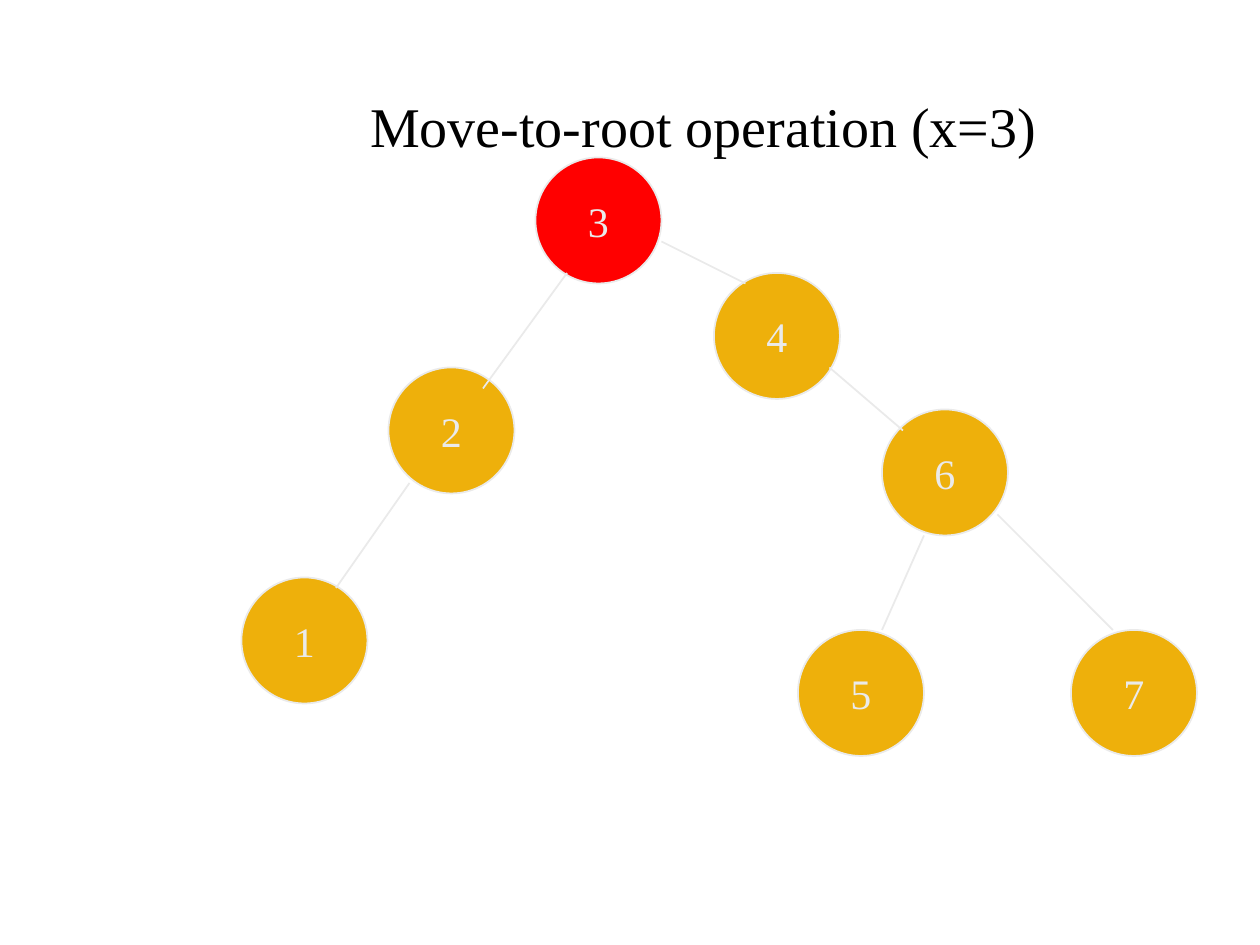
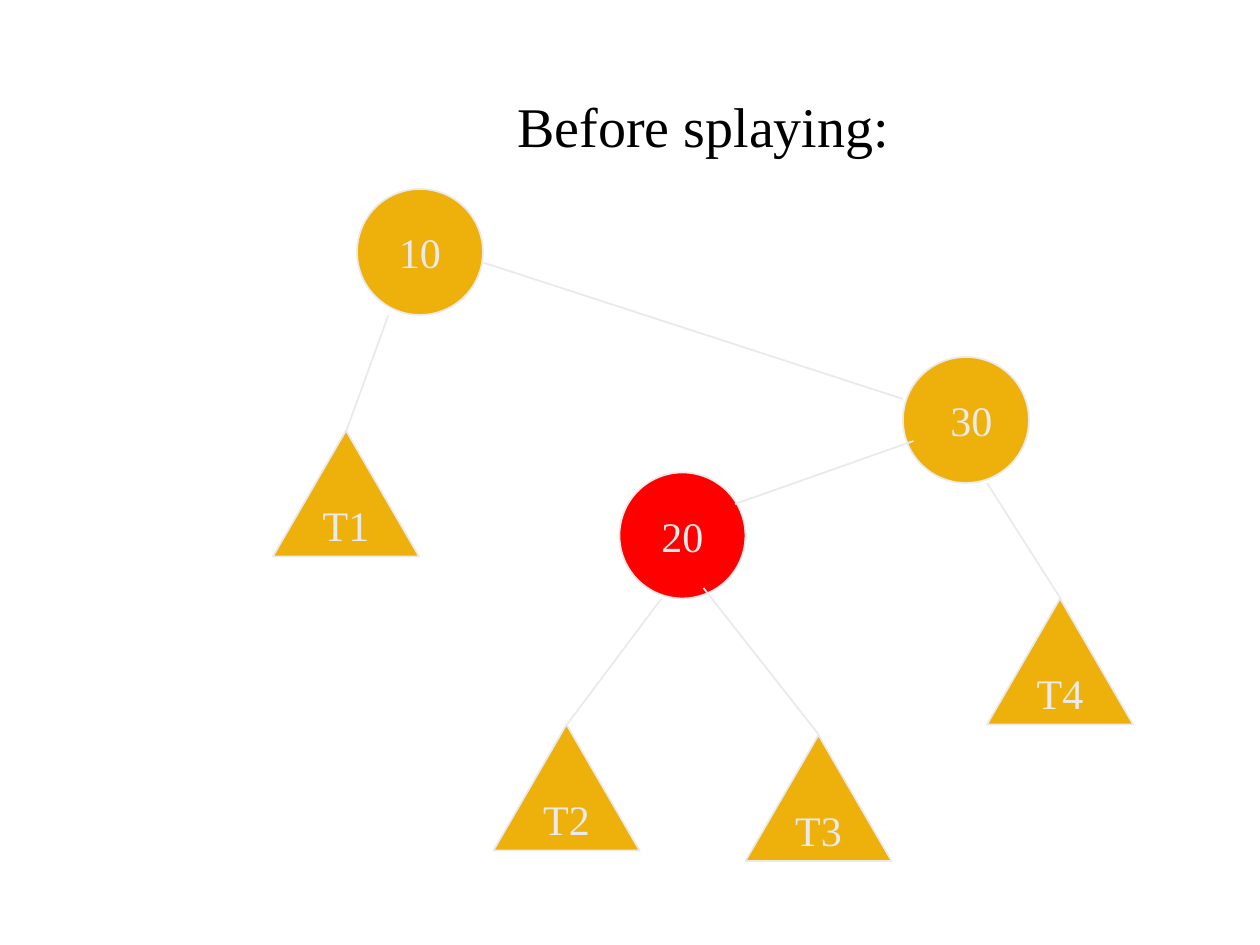
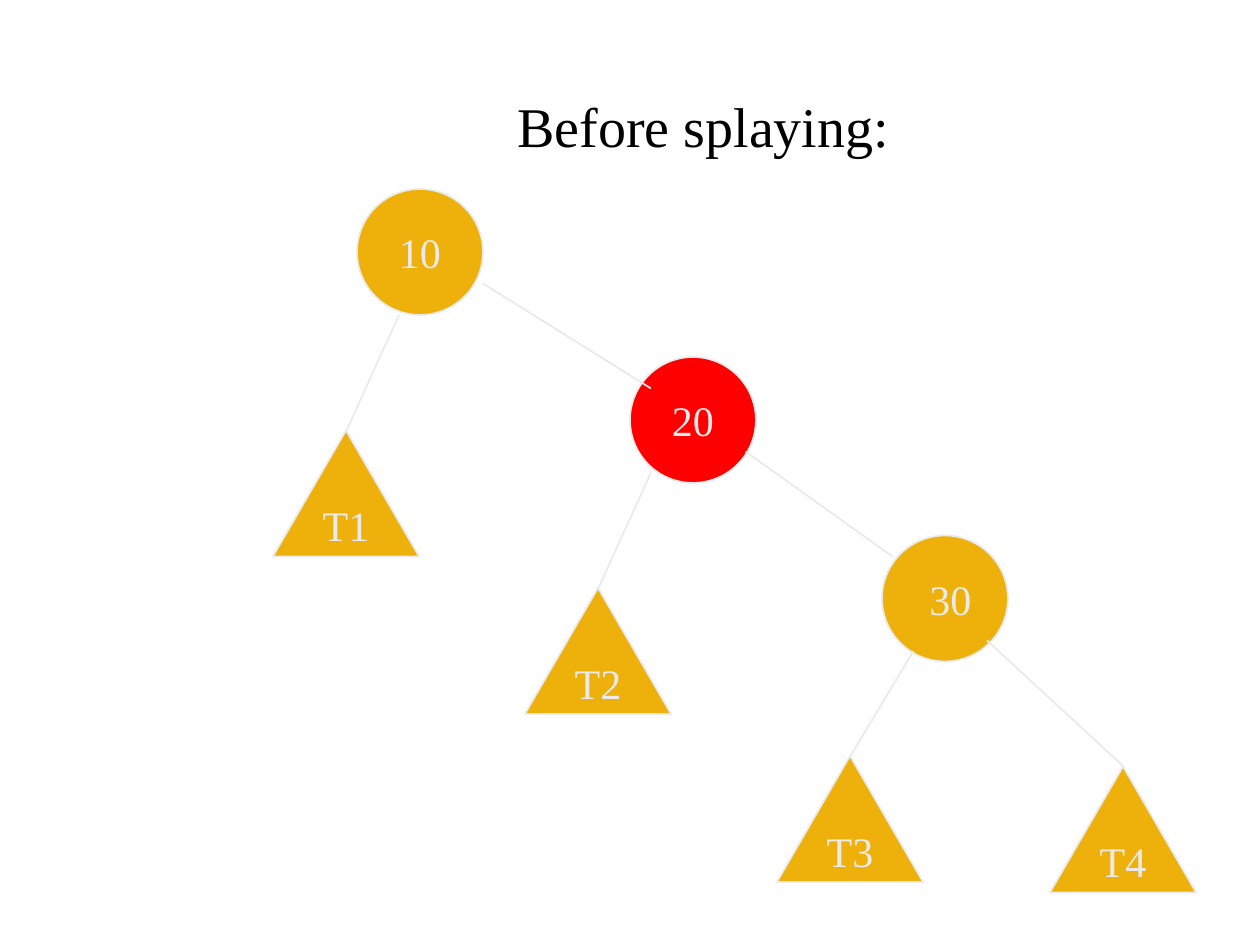
import pptx
import pptx.dml.color
import pptx.enum.shapes
import pptx.enum.text
import pptx.oxml.xmlchemy
import pptx.util
from dataclasses import dataclass
from lxml import etree

Pt = pptx.util.Pt
RGBColor = pptx.dml.color.RGBColor
AutoShape = pptx.enum.shapes.MSO_SHAPE


@dataclass(frozen=True)
class Theme:
    font: str = "Times New Roman"
    title_size: int = 32
    label_size: int = 24
    line_width: int = 1
    title: RGBColor = RGBColor(0x00, 0x00, 0x00)
    node: RGBColor = RGBColor(0xEE, 0xB0, 0x0B)
    accessed: RGBColor = RGBColor(0xFF, 0x00, 0x00)
    line: RGBColor = RGBColor(0xEA, 0xEA, 0xEA)


THEME = Theme()

# Shared geometry, in points
TITLE_BOX = (96, 24, 612, 95)
NODE_SIZE = 72
SUBTREE_WIDTH = 83.5
APEX = (42, 0)
LABEL_INSET = 7.2
LABEL_SHIFT = {"30": 6}

# Content: places are left and top; each edge names its parent and child,
# with both ends measured from the left and top of those shapes
TREES = [
    {
        "title": "Move-to-root operation (x=3)",
        "accessed": "3",
        "nodes": {
            "2": (222, 210), "4": (408, 156), "6": (504, 234), "1": (138, 330),
            "3": (306, 90), "5": (456, 360), "7": (612, 360),
        },
        "subtrees": {},
        "edges": [
            ("4", (66, 54), "6", (12, 12)),
            ("2", (12, 66), "1", (54, 6)),
            ("6", (24, 72), "5", (48, 0)),
            ("6", (66, 60), "7", (24, 0)),
            ("3", (18, 66), "2", (54, 12)),
            ("3", (72, 48), "4", (18, 6)),
        ],
    },
    {
        "title": "Before splaying:",
        "accessed": "20",
        "nodes": {"10": (204, 108), "20": (354, 270), "30": (516, 204)},
        "subtrees": {
            "T1": (156, 246), "T3": (426, 420), "T2": (282, 414), "T4": (564, 342),
        },
        "edges": [
            ("10", (72, 42), "30", (0, 24)),
            ("30", (48, 72), "T4", APEX),
            ("10", (18, 72), "T1", APEX),
            ("20", (24, 72), "T2", APEX),
            ("20", (48, 66), "T3", APEX),
            ("30", (6, 48), "20", (66, 18)),
        ],
    },
    {
        "title": "Before splaying:",
        "accessed": "20",
        "nodes": {"10": (204, 108), "20": (360, 204), "30": (504, 306)},
        "subtrees": {
            "T1": (156, 246), "T3": (444, 432), "T2": (300, 336), "T4": (600, 438),
        },
        "edges": [
            ("10", (24, 72), "T1", APEX),
            ("20", (12, 66), "T2", APEX),
            ("30", (18, 66), "T3", APEX),
            ("30", (60, 60), "T4", APEX),
            ("10", (72, 54), "20", (12, 18)),
            ("20", (66, 54), "30", (6, 12)),
        ],
    },
]


def write_centred(text_frame, text, size, color):
    text_frame.text = text
    text_frame.vertical_anchor = pptx.enum.text.MSO_ANCHOR.MIDDLE
    paragraph = text_frame.paragraphs[0]
    paragraph.alignment = pptx.enum.text.PP_ALIGN.CENTER
    font = paragraph.runs[0].font
    font.name, font.size, font.color.rgb = THEME.font, Pt(size), color


def set_line(line):
    line.color.rgb = THEME.line
    line.width = Pt(THEME.line_width)


def add_title(slide, text):
    title = slide.shapes.title
    title.left, title.top, title.width, title.height = map(Pt, TITLE_BOX)
    write_centred(title.text_frame, text, THEME.title_size, THEME.title)


def add_vertex(slide, kind, label, place, width, fill):
    left, top = place
    shape = slide.shapes.add_shape(kind, Pt(left), Pt(top), Pt(width), Pt(NODE_SIZE))
    shape.shadow.inherit = False
    shape.fill.solid()
    shape.fill.fore_color.rgb = fill
    set_line(shape.line)
    write_centred(shape.text_frame, label, THEME.label_size, THEME.line)
    shape.text_frame.word_wrap = False
    shape.text_frame.margin_left = Pt(LABEL_INSET + LABEL_SHIFT.get(label, 0))


def add_edge(slide, start, end):
    connector = slide.shapes.add_connector(
        pptx.enum.shapes.MSO_CONNECTOR.STRAIGHT, *map(Pt, start + end))
    set_line(connector.line)
    etree.SubElement(connector._element.spPr, pptx.oxml.ns.qn("a:effectLst"))


def add_tree(slide, tree):
    for label, place in tree["nodes"].items():
        fill = THEME.accessed if label == tree["accessed"] else THEME.node
        add_vertex(slide, AutoShape.OVAL, label, place, NODE_SIZE, fill)
    for label, place in tree["subtrees"].items():
        add_vertex(slide, AutoShape.ISOSCELES_TRIANGLE, label, place,
                   SUBTREE_WIDTH, THEME.node)

    # Edges lie above the vertices
    places = tree["nodes"] | tree["subtrees"]
    for parent, parent_offset, child, child_offset in tree["edges"]:
        start, end = (
            tuple(map(sum, zip(places[label], offset)))
            for label, offset in ((parent, parent_offset), (child, child_offset)))
        add_edge(slide, start, end)


def main():
    presentation = pptx.Presentation()
    presentation.slide_width, presentation.slide_height = Pt(720), Pt(540)
    title_only = presentation.slide_layouts[5]
    for tree in TREES:
        slide = presentation.slides.add_slide(title_only)
        add_title(slide, tree["title"])
        add_tree(slide, tree)
    presentation.save("out.pptx")


if __name__ == "__main__":
    main()
